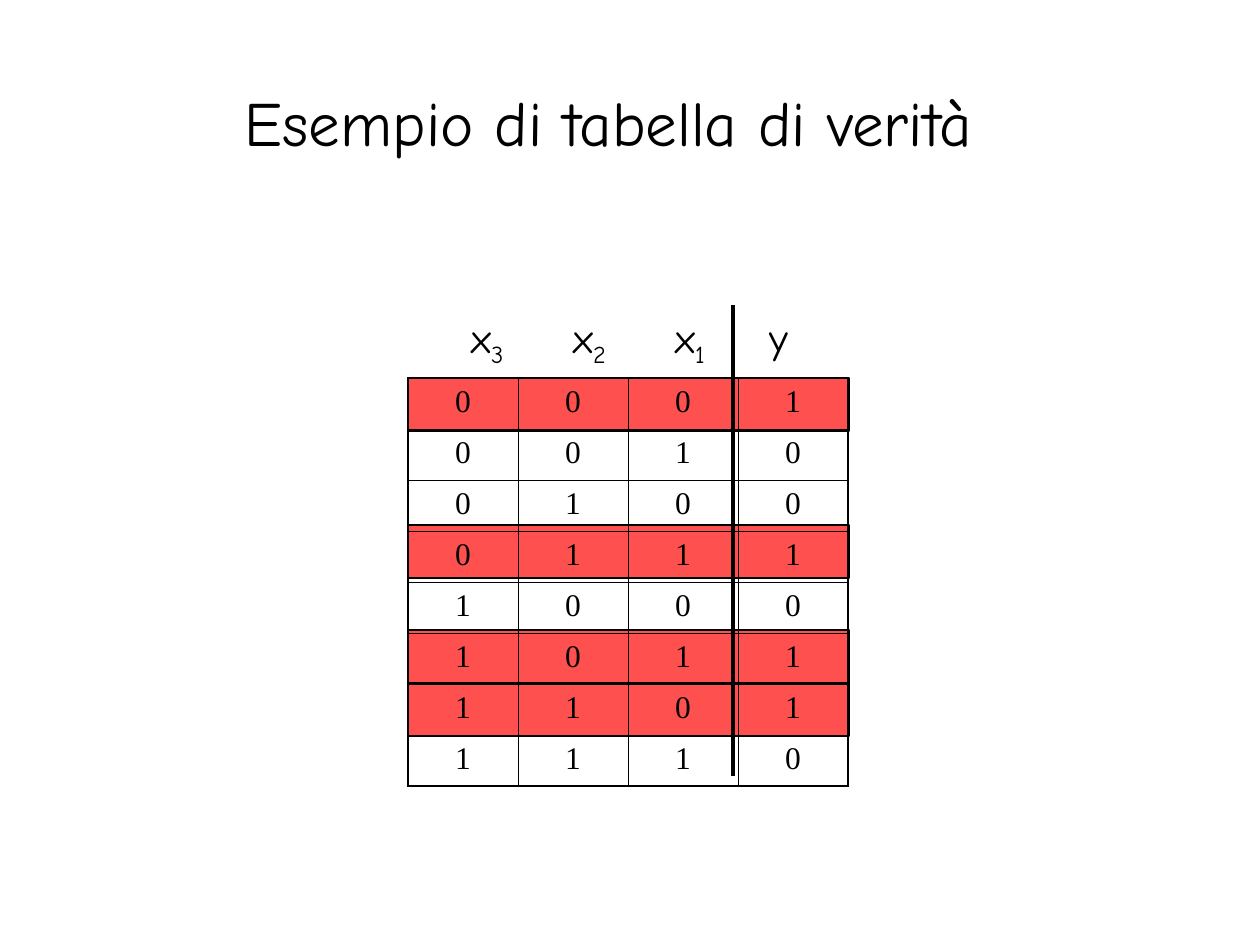
from dataclasses import dataclass

from lxml.etree import SubElement
from pptx import Presentation
from pptx.dml.color import RGBColor
from pptx.enum.shapes import MSO_CONNECTOR, MSO_SHAPE
from pptx.enum.text import MSO_ANCHOR, PP_ALIGN
from pptx.oxml.ns import qn
from pptx.util import Emu, Pt

TITLE = "Esempio di tabella di verità"
HEADER = [("x", "3"), ("x", "2"), ("x", "1"), ("y", "")]
TRUTH_ROWS = ["0001", "0010", "0100", "0111", "1000", "1011", "1101", "1110"]

TITLE_BOX = (73, 42, 1071, 158)
HEADER_BOX = (459, 305, 343, 71)
HEADER_TABS = (102, 204, 298)
TABLE_LEFT, TABLE_TOP = 408, 378
COLUMN_WIDTH, ROW_HEIGHT = 110, 51
BAND_TOPS = (378, 683, 630, 525)
BAND_WIDTH, BAND_HEIGHT = 441, 53
DIVIDER = (733, 305, 733, 776)


@dataclass(frozen=True)
class Theme:
    ink: str = "000000"
    band: str = "FF5050"
    heading_font: str = "Comic Neue"
    cell_font: str = "Times New Roman"
    title_size: int = 36
    header_size: int = 24
    cell_size: int = 18
    outer_border: float = 1.08
    inner_border: float = 0.45
    band_line: float = 0.75
    divider_line: float = 2.25


THEME = Theme()


def px(length):
    return Emu(round(length * 914400 / 126))


def color(value):
    return RGBColor.from_string(value)


def write_text(frame, runs, *, font, size, align=PP_ALIGN.LEFT, tabs=()):
    paragraph = frame.paragraphs[0]
    paragraph.alignment = align
    if tabs:
        tab_list = SubElement(paragraph._p.get_or_add_pPr(), qn("a:tabLst"))
        for position in tabs:
            SubElement(tab_list, qn("a:tab"), pos=str(px(position)), algn="l")
    for text, baseline in runs:
        run = paragraph.add_run()
        run.text = text
        run.font.name = font
        run.font.size = Pt(size)
        run.font.color.rgb = color(THEME.ink)
        if baseline:
            run._r.get_or_add_rPr().set("baseline", str(baseline * 1000))


def add_box(slide, box, runs, *, anchor=MSO_ANCHOR.TOP, **text_format):
    frame = slide.shapes.add_textbox(*map(px, box)).text_frame
    frame.word_wrap = True
    frame.vertical_anchor = anchor
    write_text(frame, runs, font=THEME.heading_font, **text_format)
    return frame


def add_band(slide, top):
    box = (TABLE_LEFT, top, BAND_WIDTH, BAND_HEIGHT)
    band = slide.shapes.add_shape(MSO_SHAPE.RECTANGLE, *map(px, box))
    band.shadow.inherit = False
    band.fill.solid()
    band.fill.fore_color.rgb = color(THEME.band)
    band.line.color.rgb = color(THEME.ink)
    band.line.width = Pt(THEME.band_line)


def set_borders(cell, outer_sides):
    properties = cell._tc.get_or_add_tcPr()
    for side, is_outer in outer_sides.items():
        width = THEME.outer_border if is_outer else THEME.inner_border
        border = SubElement(properties, qn(f"a:ln{side}"), w=str(Pt(width)))
        fill = SubElement(border, qn("a:solidFill"))
        SubElement(fill, qn("a:srgbClr"), val=THEME.ink)


def add_truth_table(slide):
    row_count, column_count = len(TRUTH_ROWS), len(TRUTH_ROWS[0])
    box = (TABLE_LEFT, TABLE_TOP, column_count * COLUMN_WIDTH, row_count * ROW_HEIGHT)
    table = slide.shapes.add_table(row_count, column_count, *map(px, box)).table
    table.first_row = table.horz_banding = False
    for column in table.columns:
        column.width = px(COLUMN_WIDTH)
    for row_index, values in enumerate(TRUTH_ROWS):
        table.rows[row_index].height = px(ROW_HEIGHT)
        for column_index, value in enumerate(values):
            cell = table.cell(row_index, column_index)
            write_text(cell.text_frame, [(value, 0)], font=THEME.cell_font,
                       size=THEME.cell_size, align=PP_ALIGN.CENTER)
            set_borders(cell, {
                "L": column_index == 0,
                "R": column_index == column_count - 1,
                "T": row_index == 0,
                "B": row_index == row_count - 1,
            })
            cell.fill.background()


def add_header(slide):
    runs = []
    for index, (name, subscript) in enumerate(HEADER):
        runs.append(("\t" + name if index else name, 0))
        if subscript:
            runs.append((subscript, -25))
    frame = add_box(slide, HEADER_BOX, runs, size=THEME.header_size, tabs=HEADER_TABS)
    frame.margin_right = 0


def add_divider(slide):
    divider = slide.shapes.add_connector(MSO_CONNECTOR.STRAIGHT, *map(px, DIVIDER))
    divider.line.color.rgb = color(THEME.ink)
    divider.line.width = Pt(THEME.divider_line)
    SubElement(divider._element.spPr, qn("a:effectLst"))


def main():
    presentation = Presentation()
    presentation.slide_width, presentation.slide_height = px(1260), px(945)
    slide = presentation.slides.add_slide(presentation.slide_layouts[6])
    add_box(slide, TITLE_BOX, [(TITLE, 0)], anchor=MSO_ANCHOR.MIDDLE,
            size=THEME.title_size, align=PP_ALIGN.CENTER)
    for top in BAND_TOPS:
        add_band(slide, top)
    add_truth_table(slide)
    add_header(slide)
    add_divider(slide)
    presentation.save("out.pptx")


if __name__ == "__main__":
    main()
